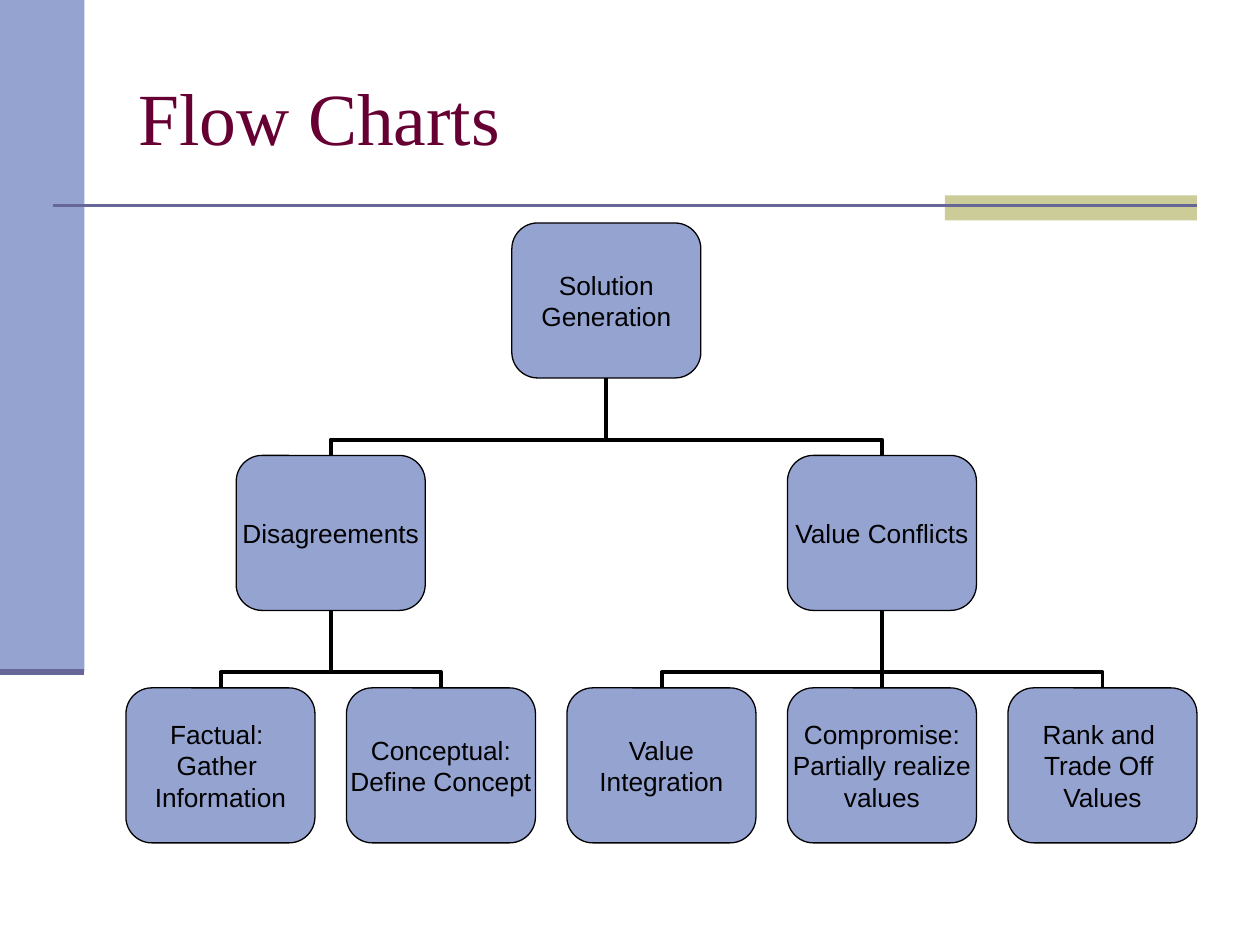
import pptx
import pptx.dml.color
import pptx.enum.shapes
import pptx.enum.text
import pptx.oxml
import pptx.oxml.ns
import pptx.util


class Theme:
    blue = "95A3D1"
    khaki = "CCCC99"
    slate = "666699"
    wine = "660033"
    black = "000000"
    serif = "Times New Roman"
    sans = "Arial"
    head = 42
    body = 15


inch = pptx.util.Inches
point = pptx.util.Pt
color = pptx.dml.color.RGBColor.from_string
kind = pptx.enum.shapes.MSO_SHAPE
wire = pptx.enum.shapes.MSO_CONNECTOR
align = pptx.enum.text.PP_ALIGN
anchor = pptx.enum.text.MSO_ANCHOR

deck = pptx.Presentation()
deck.slide_width, deck.slide_height = inch(10), inch(7.5)
slide = deck.slides.add_slide(deck.slide_layouts[5])
shapes = slide.shapes


def block(form, left, top, width, height, fill):
    shape = shapes.add_shape(form, inch(left), inch(top), inch(width), inch(height))
    shape.shadow.inherit = False
    shape.fill.solid()
    shape.fill.fore_color.rgb = color(fill)
    shape.line.fill.background()
    return shape


def link(form, start, end, tone, weight):
    line = shapes.add_connector(form, *[inch(n) for n in (*start, *end)])
    line.line.color.rgb = color(tone)
    line.line.width = point(weight)
    line._element.spPr.append(pptx.oxml.parse_xml(
        f'<a:effectLst {pptx.oxml.ns.nsdecls("a")}/>'))
    return line


block(kind.RECTANGLE, 0, 0, 0.67, 5.33, Theme.blue)
block(kind.RECTANGLE, 7.5, 1.55, 2, 0.2, Theme.khaki)
link(wire.STRAIGHT, (0.42, 1.63), (9.5, 1.63), Theme.slate, 1.5)
link(wire.STRAIGHT, (0, 5.33), (0.67, 5.33), Theme.slate, 3.5)

title = shapes.title
title.left, title.top, title.width, title.height = map(inch, (1, 0.3, 8.5, 1.25))
title.text_frame.text = "Flow Charts"
title.text_frame.vertical_anchor = anchor.MIDDLE
para = title.text_frame.paragraphs[0]
para.alignment = align.LEFT
para.font.name = Theme.serif
para.font.size = point(Theme.head)
para.font.color.rgb = color(Theme.wine)

left, top = 1, 1.77
wide, high = 1.5, 1.23
col_step, row_step = 1.75, 1.845
gap = row_step - high

# name: column, row, parent, text
nodes = {
    "root": (1.75, 0, None, "Solution\nGeneration"),
    "clash": (0.5, 1, "root", "Disagreements"),
    "value": (3, 1, "root", "Value Conflicts"),
    "fact": (0, 2, "clash", "Factual: \nGather \nInformation"),
    "concept": (1, 2, "clash", "Conceptual:\nDefine Concept"),
    "whole": (2, 2, "value", "Value\nIntegration"),
    "deal": (3, 2, "value", "Compromise:\nPartially realize\nvalues"),
    "rank": (4, 2, "value", "Rank and \nTrade Off \nValues"),
}

boxes = {}
for name, (col, row, parent, text) in nodes.items():
    x, y = left + col * col_step, top + row * row_step
    box = boxes[name] = block(kind.ROUNDED_RECTANGLE, x, y, wide, high, Theme.blue)
    box.line.color.rgb = color(Theme.black)
    box.line.width = point(0.75)
    frame = box.text_frame
    frame.word_wrap = False
    frame.vertical_anchor = anchor.MIDDLE
    frame.margin_left = frame.margin_right = frame.margin_top = frame.margin_bottom = 0
    frame.text = text
    for para in frame.paragraphs:
        para.alignment = align.CENTER
        para.font.name = Theme.sans
        para.font.size = point(Theme.body)
        para.font.color.rgb = color(Theme.black)
    if parent is None:
        continue

    start = (x + wide / 2, y)
    end = (left + nodes[parent][0] * col_step + wide / 2, y - gap)
    span = abs(start[0] - end[0])
    if span == 0:
        line = link(wire.STRAIGHT, start, end, Theme.black, 2.25)
        line.begin_connect(box, 0)
        line.end_connect(boxes[parent], 2)
        continue
    line = link(wire.ELBOW, start, end, Theme.black, 2.25)
    line.left = inch((start[0] + end[0] - gap) / 2)
    line.top = inch((start[1] + end[1] - span) / 2)
    line.width, line.height = inch(gap), inch(span)
    on_left = start[0] < end[0]
    turn = line._element.spPr.find(pptx.oxml.ns.qn("a:xfrm"))
    turn.set("rot", str((90 if on_left else 270) * 60000))
    turn.set("flipH", str(int(on_left)))
    turn.set("flipV", "1")
    form = line._element.spPr.find(pptx.oxml.ns.qn("a:prstGeom"))
    for old in list(form):
        form.remove(old)
    form.append(pptx.oxml.parse_xml(
        f'<a:avLst {pptx.oxml.ns.nsdecls("a")}>'
        '<a:gd name="adj1" fmla="val 20300"/></a:avLst>'))

deck.save("out.pptx")
